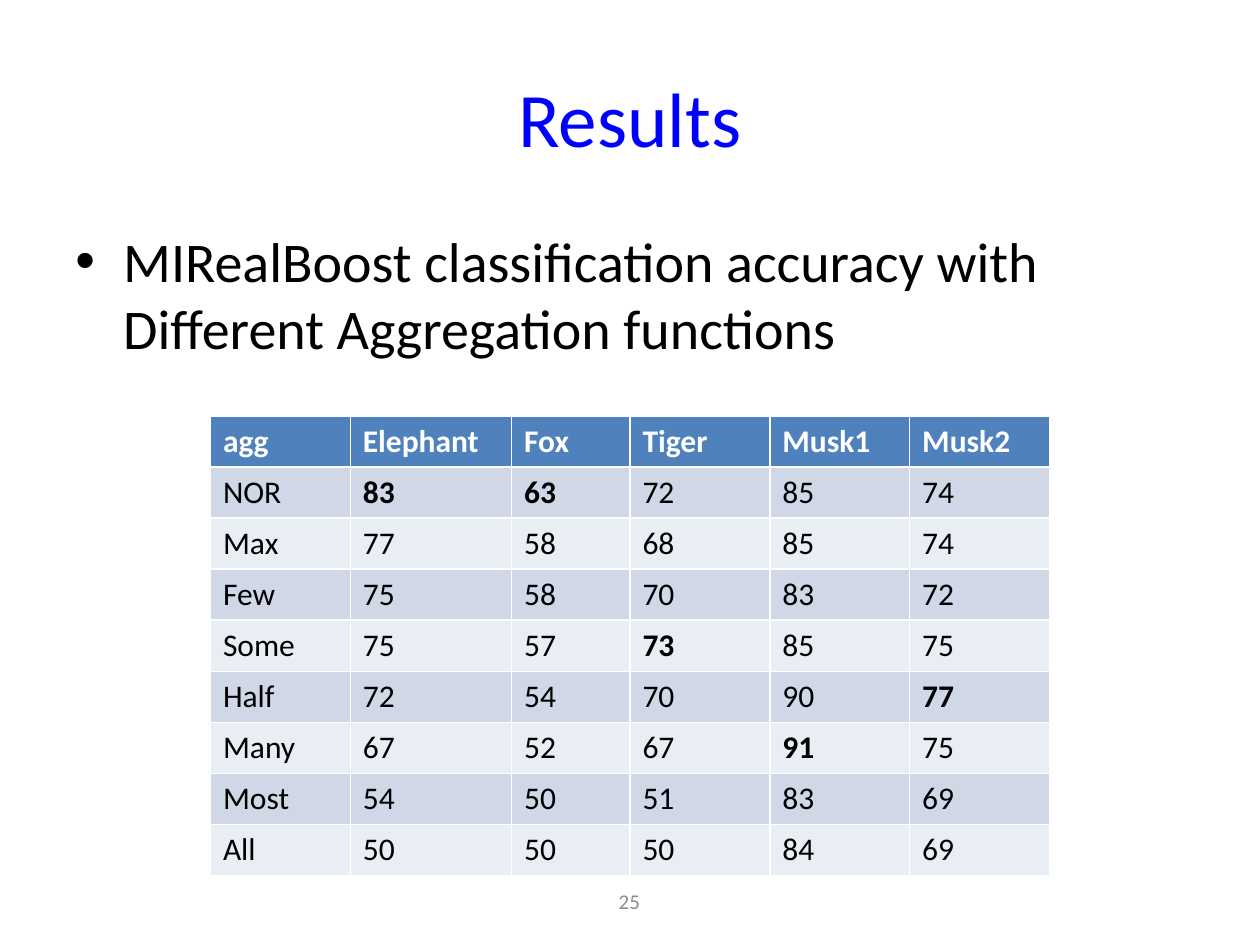
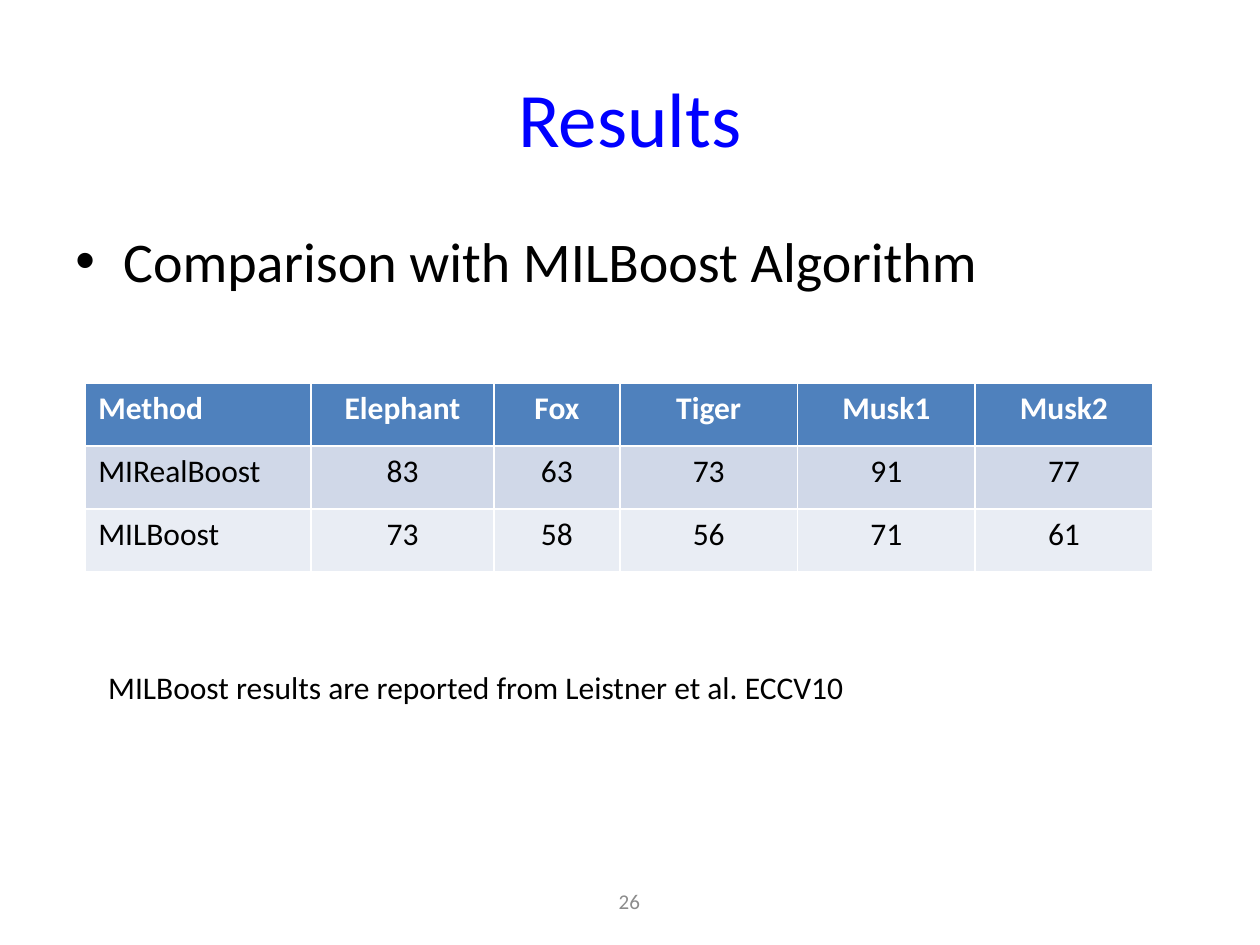
from lxml import etree
from pptx import Presentation, util as u
from pptx.dml.color import RGBColor
from pptx.enum import text
from pptx.oxml import ns

FONT = "Calibri"
TITLE_BLUE = RGBColor(0x00, 0x00, 0xFF)
HEADER_BLUE = RGBColor(0x4F, 0x81, 0xBD)
BANDS = (RGBColor(0xD0, 0xD8, 0xE8), RGBColor(0xE9, 0xED, 0xF4))
BLACK = RGBColor(0x00, 0x00, 0x00)
WHITE = RGBColor(0xFF, 0xFF, 0xFF)
GREY = RGBColor(0x8C, 0x8C, 0x8C)
LEFT, CENTER = text.PP_ALIGN.LEFT, text.PP_ALIGN.CENTER
MIDDLE = text.MSO_ANCHOR.MIDDLE

DATASETS = ["Elephant", "Fox", "Tiger", "Musk1", "Musk2"]
AGGREGATIONS = {
    "NOR": [83, 63, 72, 85, 74],
    "Max": [77, 58, 68, 85, 74],
    "Few": [75, 58, 70, 83, 72],
    "Some": [75, 57, 73, 85, 75],
    "Half": [72, 54, 70, 90, 77],
    "Many": [67, 52, 67, 91, 75],
    "Most": [54, 50, 51, 83, 69],
    "All": [50, 50, 50, 84, 69],
}
METHODS = {
    "MIRealBoost": [83, 63, 73, 91, 77],
    "MILBoost": [73, 58, 56, 71, 61],
}


def write(tf, content, size=18, color=BLACK, bold=False, align=LEFT):
    """Write one formatted paragraph into a text frame and return it."""
    p = tf.paragraphs[0]
    p.alignment = align
    r = p.add_run()
    r.text = content
    r.font.name, r.font.size, r.font.bold = FONT, u.Pt(size), bold
    r.font.color.rgb = color
    return p


def add_text(slide, box, content, anchor=text.MSO_ANCHOR.TOP, wrap=True, **style):
    """Add a text box at (left, top, width, height) and return its paragraph."""
    tf = slide.shapes.add_textbox(*map(u.Inches, box)).text_frame
    tf.word_wrap = wrap
    tf.vertical_anchor = anchor
    return write(tf, content, **style)


def add_bullet(slide, content):
    """Add the body statement with a hanging bullet."""
    p = add_text(slide, (0.5, 1.75, 9, 4.95), content, size=32)
    pPr = p._p.get_or_add_pPr()
    pPr.set("marL", str(u.Inches(0.38)))
    pPr.set("indent", str(-u.Inches(0.38)))
    etree.SubElement(pPr, ns.qn("a:buFont"), typeface="Arial")
    etree.SubElement(pPr, ns.qn("a:buChar"), char="•")


def add_slide(prs, number, statement):
    """Add a results slide with its title, statement and page number."""
    slide = prs.slides.add_slide(prs.slide_layouts[6])
    add_text(slide, (0.5, 0.3, 9, 1.25), "Results", anchor=MIDDLE,
             size=44, color=TITLE_BLUE, align=CENTER)
    add_bullet(slide, statement)
    add_text(slide, (3.83, 6.95, 2.33, 0.4), str(number), anchor=MIDDLE,
             size=12, color=GREY, align=CENTER)
    return slide


def add_scores(slide, box, widths, corner, scores, align=LEFT, mark_best=False):
    """Add a banded accuracy table, optionally with each column's best in bold."""
    rows = [[corner, *DATASETS]] + [[name, *values] for name, values in scores.items()]
    best = [max(column) for column in zip(*scores.values())]
    table = slide.shapes.add_table(len(rows), len(widths), *map(u.Inches, box)).table
    for column, width in zip(table.columns, widths):
        column.width = u.Inches(width)
    for i, row in enumerate(rows):
        table.rows[i].height = u.Inches(box[3] / len(rows))
        for j, value in enumerate(row):
            header = i == 0
            cell = table.cell(i, j)
            cell.fill.solid()
            cell.fill.fore_color.rgb = HEADER_BLUE if header else BANDS[(i - 1) % 2]
            is_best = mark_best and j > 0 and value == best[j - 1]
            write(cell.text_frame, str(value), color=WHITE if header else BLACK,
                  bold=header or is_best, align=align if j else LEFT)


def main():
    """Build and save the two results slides."""
    prs = Presentation()
    prs.slide_width, prs.slide_height = u.Inches(10), u.Inches(7.5)

    slide = add_slide(prs, 25, "MIRealBoost classification accuracy with "
                               "Different Aggregation functions")
    add_scores(slide, (1.67, 3.3, 6.67, 3.65), [1.11, 1.28, 0.94] + [1.11] * 3,
               "agg", AGGREGATIONS, mark_best=True)

    slide = add_slide(prs, 26, "Comparison with MILBoost Algorithm")
    add_scores(slide, (0.68, 3.04, 8.49, 1.5), [1.79, 1.45, 1] + [1.41] * 3,
               "Method", METHODS, align=CENTER)
    add_text(slide, (0.76, 5.25, 6.11, 0.4),
             "MILBoost results are reported from Leistner et al. ECCV10", wrap=False)

    prs.save("out.pptx")


if __name__ == "__main__":
    main()
